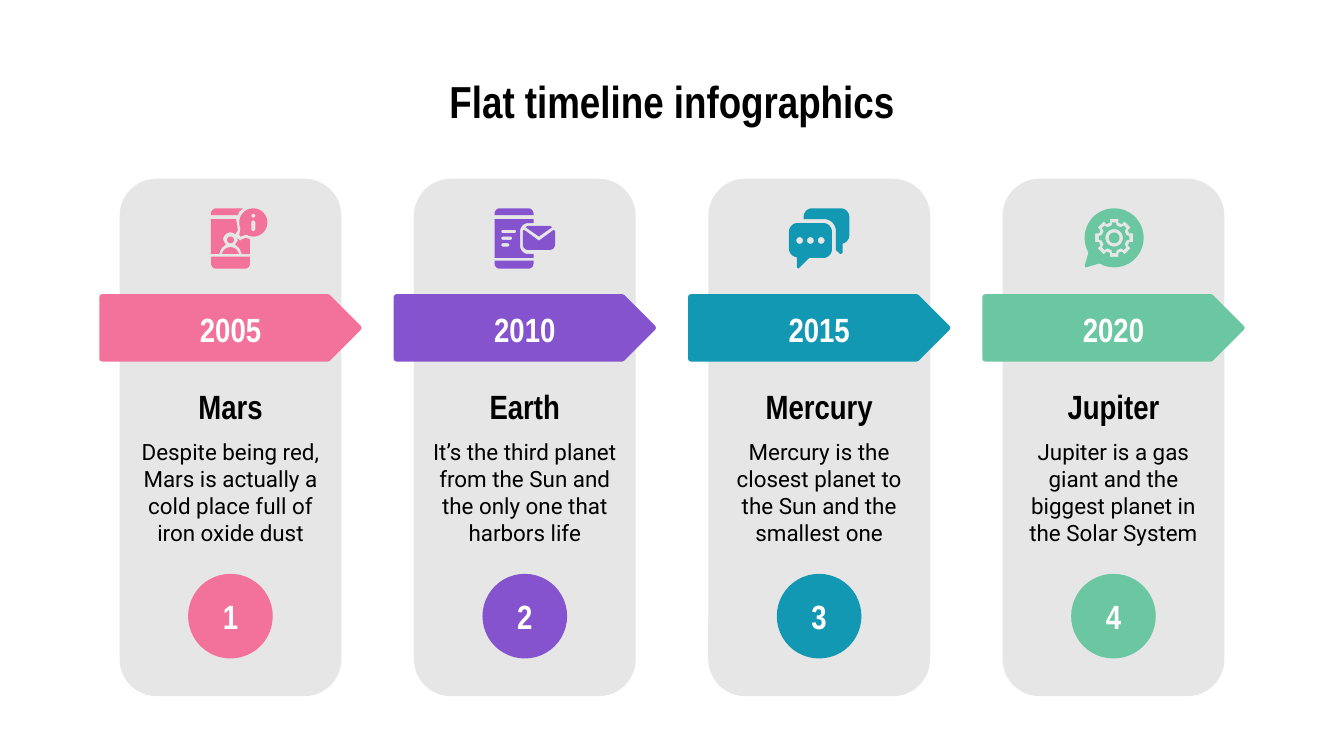
import math
from dataclasses import dataclass

from lxml import etree
from pptx import Presentation
from pptx.dml.color import RGBColor
from pptx.enum import shapes, text
from pptx.oxml import ns
from pptx.util import Inches, Pt

COLORS = {
    "black": "000000", "white": "FFFFFF", "card": "E6E6E6",
    "pink": "F3729B", "purple": "8553CE", "teal": "1398B4", "green": "6AC7A1",
}
HEAD_FONT, BODY_FONT = "Arial Narrow", "Roboto"

# Icon outlines use hundredths of an inch, from the icon's top left corner
Contour = list[tuple[float, float]]
Part = list[Contour]  # first contour is the outline, the others are holes
FINE = 100  # freeform points are whole numbers, so each unit is split


@dataclass
class Milestone:
    year: str
    planet: str
    fact: str
    color: str
    icon: list[Part]
    icon_left: float  # from the card's left edge


def rgb(name: str) -> RGBColor:
    return RGBColor.from_string(COLORS[name])


# --- Outline geometry ---
def arc(cx: float, cy: float, r: float, start: float = 0, sweep: float = 360) -> Contour:
    """Points on an arc, in degrees clockwise from the right."""
    steps = max(6, round(abs(sweep) / 10))
    angles = [math.radians(start + sweep * i / steps) for i in range(steps + 1)]
    return [(cx + r * math.cos(a), cy + r * math.sin(a)) for a in angles]


def box(l: float, t: float, r: float, b: float, top: float = 0, bottom: float = 0) -> Contour:
    """Rectangle with rounded top and bottom corners."""
    return [*arc(l + top, t + top, top, 180, 90), *arc(r - top, t + top, top, 270, 90),
            *arc(r - bottom, b - bottom, bottom, 0, 90),
            *arc(l + bottom, b - bottom, bottom, 90, 90)]


def gear(c: float, outer: float, root: float, tip_half: float, root_half: float) -> Contour:
    """Eight-toothed wheel centred on (c, c)."""
    corners = ((root, -root_half), (outer, -tip_half), (outer, tip_half), (root, root_half))
    return [(c + r * math.cos(math.radians(45 * k + a)),
             c + r * math.sin(math.radians(45 * k + a)))
            for k in range(8) for r, a in corners]


# --- Icons ---
PROFILE_ICON = [
    [arc(14.5, 35.4, 6.5, 193, 154)],
    [[(26, 22), (23, 23), (22, 24), (19.5, 22.5), (20, 24), (18, 27),
      (21, 29.5), (23, 34), (29, 34), (29, 23)]],
    [[(0, 8), (0, 34), (6, 34), (8, 29.5), (11, 27),
      *arc(14.5, 23.5, 5.5, 180, 130), (19, 18), (20, 16), (19, 10), (19, 8)]],
    [arc(14.5, 23.5, 2.5)],
    [[*arc(31.5, 10.5, 10.5, 155, 325), (22, 21), (21, 20)],
     arc(31.5, 5.5, 1.5), box(30, 9, 33, 17, 1.5, 1.5)],
    [box(0, 36, 29, 45, bottom=4)],
    [[*arc(4, 4, 4, 180, 90), (24, 0), (21, 2.5), (20, 5), (0, 5)]],
]
MAIL_ICON = [
    [[(25, 13), (23, 14), (33, 21), (43, 14), (41, 13)]],
    [[(21, 17), *arc(25, 27, 4, 180, -90), *arc(41, 27, 4, 90, -90), (45, 17),
      (44, 16), (34.5, 23), (33, 24), (31.5, 23), (22, 16)]],
    [[(0, 8), (0, 37), (29, 37), (29, 34), *arc(25, 28, 6, 90, 90),
      *arc(25, 17, 6, 180, 90), (29, 11), (29, 8)],
     *[box(5, t, r, t + 2.5, 1.2, 1.2) for t, r in ((16, 16), (21, 13), (26, 11))]],
    [box(0, 0, 29, 5, top=4)],
    [box(0, 39, 29, 45, bottom=4)],
]
CHAT_ICON = [
    [[*arc(6.5, 17.5, 6.5, 180, 90), *arc(25.5, 17.5, 6.5, 270, 90),
      *arc(25.5, 30.5, 6.5, 0, 90), (15, 37), (8, 44), (7, 45), (6, 44),
      *arc(6.5, 30, 6.5, 95, 85)],
     *[arc(x, 24, 2.5) for x in (8, 16, 24)]],
    [[*arc(17.5, 6.5, 6.5, 180, 90), *arc(38.5, 6.5, 6.5, 270, 90),
      *arc(38.5, 20, 6.5, 0, 76), (40, 33), (39, 34), (38, 34), (35, 31),
      *arc(26, 17, 9, 0, -90), (11, 8)]],
]
GEAR_ICON = [
    [gear(22, 11.5, 9.3, 7, 12), arc(22, 22, 6.5)],
    [[*arc(22, 22, 22, 150, 330), (1, 44), (0, 43)], gear(22, 14.5, 11.7, 13, 16)],
    [arc(22, 22, 4)],
]

MILESTONES = [
    Milestone("2005", "Mars", "Despite being red, Mars is actually a cold place full of "
              "iron oxide dust", "pink", PROFILE_ICON, 0.68),
    Milestone("2010", "Earth", "It’s the third planet from the Sun and the only one that "
              "harbors life", "purple", MAIL_ICON, 0.6),
    Milestone("2015", "Mercury", "Mercury is the closest planet to the Sun and the "
              "smallest one", "teal", CHAT_ICON, 0.6),
    Milestone("2020", "Jupiter", "Jupiter is a gas giant and the biggest planet in the "
              "Solar System", "green", GEAR_ICON, 0.61),
]


# --- Drawing ---
def paint(sp, color: str) -> None:
    sp.shadow.inherit = False
    sp.fill.solid()
    sp.fill.fore_color.rgb = rgb(color)
    sp.line.fill.background()


def write(sp, words: str, size: float, color: str, font: str = HEAD_FONT,
          bold: bool = True, anchor=text.MSO_ANCHOR.MIDDLE) -> None:
    tf = sp.text_frame
    tf.word_wrap = True
    tf.auto_size = text.MSO_AUTO_SIZE.NONE
    tf.vertical_anchor = anchor
    tf.margin_left = tf.margin_right = tf.margin_top = tf.margin_bottom = Inches(0.1)
    p = tf.paragraphs[0]
    p.text = words
    p.alignment = text.PP_ALIGN.CENTER
    p.font.name, p.font.size, p.font.bold = font, Pt(size), bold
    p.font.color.rgb = rgb(color)


def add_shape(s, kind, l: float, t: float, w: float, h: float, color: str):
    sp = s.shapes.add_shape(kind, Inches(l), Inches(t), Inches(w), Inches(h))
    paint(sp, color)
    return sp


def add_label(s, l: float, t: float, h: float, words: str, size: float, color: str, **style) -> None:
    sp = s.shapes.add_textbox(Inches(l), Inches(t), Inches(1.65), Inches(h))
    write(sp, words, size, color, **style)


def add_icon(s, icon: list[Part], l: float, t: float, color: str) -> None:
    for part in icon:
        builder = None
        for contour in part:
            points = [(x * FINE, y * FINE) for x, y in contour]
            if builder is None:
                builder = s.shapes.build_freeform(*points[0], scale=Inches(0.01) / FINE)
            else:
                builder.move_to(*points[0])
            builder.add_line_segments(points[1:], close=True)
        paint(builder.convert_to_shape(Inches(l), Inches(t)), color)


def add_milestone(s, number: int, m: Milestone) -> None:
    left = 0.89 + 2.19 * (number - 1)
    kind = shapes.MSO_SHAPE
    add_shape(s, kind.ROUNDED_RECTANGLE, left, 1.33, 1.65, 3.85, "card")
    add_label(s, left, 2.81, 0.43, m.planet, 18, "black")
    add_label(s, left, 3.16, 0.98, m.fact, 12, "black", font=BODY_FONT, bold=False,
              anchor=text.MSO_ANCHOR.TOP)
    badge = add_shape(s, kind.OVAL, left + 0.51, 4.27, 0.63, 0.63, m.color)
    write(badge, str(number), 18, "white")

    # Year arrow with rounded corners
    arrow = add_shape(s, kind.PENTAGON, left - 0.13, 2.21, 1.91, 0.46, m.color)
    arrow.line.color.rgb = rgb(m.color)
    arrow.line.width = Pt(3)
    etree.SubElement(arrow.element.spPr.find(ns.qn("a:ln")), ns.qn("a:round"))
    add_label(s, left, 2.22, 0.46, m.year, 18, "white")

    add_icon(s, m.icon, left + m.icon_left, 1.55, m.color)


def main() -> None:
    prs = Presentation()
    prs.slide_width = Inches(10)
    prs.slide_height = prs.slide_width * 9 // 16
    s = prs.slides.add_slide(prs.slide_layouts[5])

    # Title
    title = s.shapes.title
    title.left, title.top, title.width, title.height = map(Inches, (0.5, 0.45, 9, 0.63))
    write(title, "Flat timeline infographics", 24, "black", anchor=text.MSO_ANCHOR.TOP)

    # Timeline
    for number, m in enumerate(MILESTONES, 1):
        add_milestone(s, number, m)

    prs.save("out.pptx")


if __name__ == "__main__":
    main()
